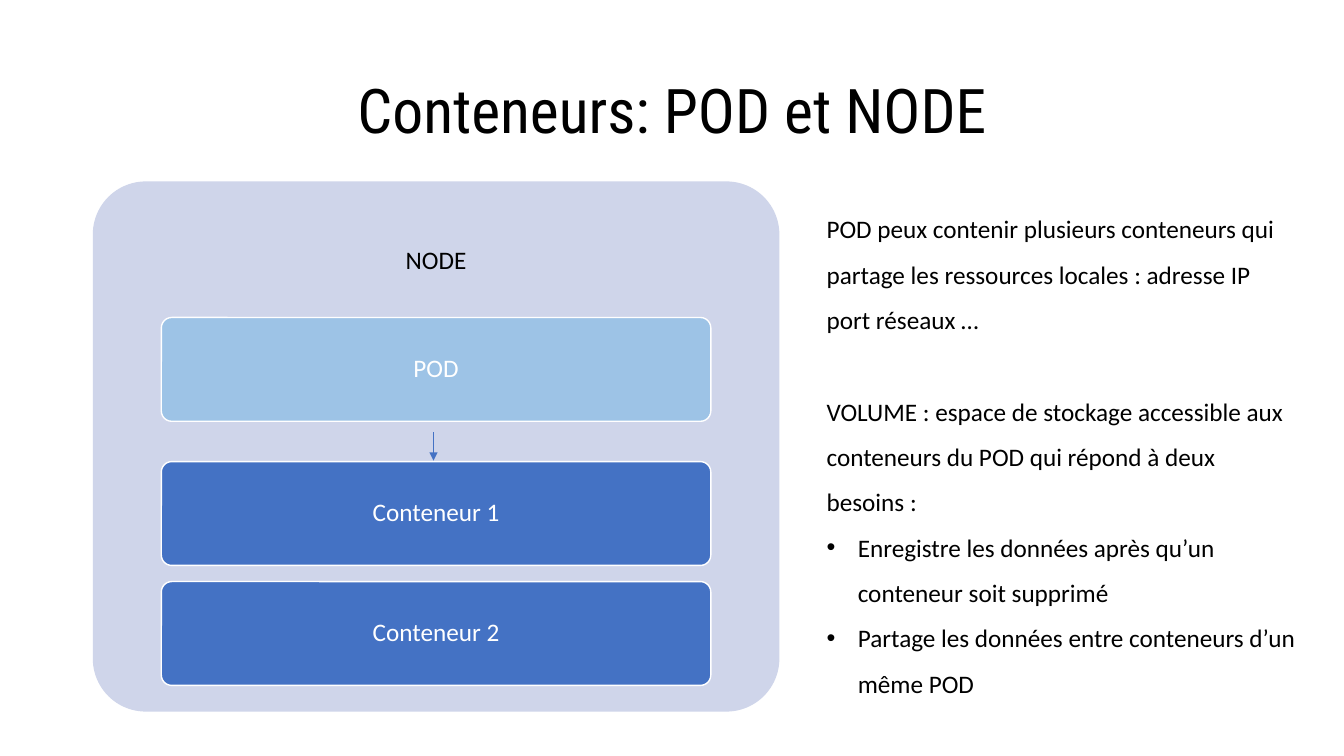
"""Build the slide that shows a node, its pod and the pod's containers."""
import pptx
import pptx.dml.color
import pptx.enum.shapes
import pptx.enum.text
import pptx.oxml.ns
import pptx.util
from dataclasses import dataclass
from lxml import etree

Inches, Pt = pptx.util.Inches, pptx.util.Pt
MSO_SHAPE = pptx.enum.shapes.MSO_SHAPE
MSO_ANCHOR = pptx.enum.text.MSO_ANCHOR
PP_ALIGN = pptx.enum.text.PP_ALIGN
qn = pptx.oxml.ns.qn


@dataclass(frozen=True)
class Theme:
    """Colours, fonts and type sizes of the slide."""
    text: str = "000000"
    light: str = "FFFFFF"
    node: str = "CFD5EA"
    pod: str = "9DC3E6"
    container: str = "4472C4"
    title_font: str = "Roboto Condensed"
    body_font: str = "Calibri"
    title_size: int = 44
    body_size: int = 18


THEME = Theme()
TITLE = "Conteneurs: POD et NODE"
NODE = "NODE"
BOXES = [
    ("POD", THEME.pod, 3.15),
    ("Conteneur 1", THEME.container, 4.58),
    ("Conteneur 2", THEME.container, 5.77),
]
NOTES = [
    ("POD peux contenir plusieurs conteneurs qui partage les ressources locales : "
     "adresse IP port réseaux …", False, 0),
    ("VOLUME : espace de stockage accessible aux conteneurs du POD qui répond à "
     "deux besoins :", False, 33),
    ("Enregistre les données après qu’un conteneur soit supprimé", True, 0),
    ("Partage les données entre conteneurs d’un même POD", True, 0),
]
NODE_LEFT, NODE_TOP, NODE_WIDTH, NODE_HEIGHT = 0.92, 1.8, 6.81, 5.26
LABEL_HEIGHT = 1.58
BOX_WIDTH, BOX_HEIGHT = 5.45, 1.03
BOX_LEFT = NODE_LEFT + (NODE_WIDTH - BOX_WIDTH) / 2
ARROW_X, ARROW_TOP, ARROW_BOTTOM = 4.3, 4.29, 4.57
INDENT = 0.31


def rgb(color):
    """Turn a hex string into a colour."""
    return pptx.dml.color.RGBColor.from_string(color)


def style(p, color, spacing, size=THEME.body_size, font=THEME.body_font):
    """Set the font and line spacing of a paragraph."""
    p.font.name, p.font.size = font, Pt(size)
    p.font.color.rgb = rgb(color)
    p.line_spacing = spacing


def label(sp, text, color, **font):
    """Write one centred line in a shape."""
    tf = sp.text_frame
    tf.word_wrap = True
    tf.vertical_anchor = MSO_ANCHOR.MIDDLE
    tf.text = text
    p = tf.paragraphs[0]
    p.alignment = PP_ALIGN.CENTER
    style(p, color, 0.9, **font)


def rounded(s, left, top, width, height, fill, line=None):
    """Add a rounded rectangle."""
    sp = s.shapes.add_shape(MSO_SHAPE.ROUNDED_RECTANGLE, Inches(left), Inches(top),
                            Inches(width), Inches(height))
    sp.adjustments[0] = 0.1
    sp.shadow.inherit = False
    sp.fill.solid()
    sp.fill.fore_color.rgb = rgb(fill)
    if line:
        sp.line.color.rgb = rgb(line)
        sp.line.width = Pt(1)
    else:
        sp.line.fill.background()
    return sp


def add_title(s):
    """Place and fill the title."""
    sp = s.shapes.title
    sp.left, sp.top = Inches(0.92), Inches(0.4)
    sp.width, sp.height = Inches(11.5), Inches(1.45)
    label(sp, TITLE, THEME.text, size=THEME.title_size, font=THEME.title_font)


def add_node(s):
    """Draw the node with its pod and containers."""
    rounded(s, NODE_LEFT, NODE_TOP, NODE_WIDTH, NODE_HEIGHT, THEME.node)
    sp = s.shapes.add_textbox(Inches(NODE_LEFT), Inches(NODE_TOP),
                              Inches(NODE_WIDTH), Inches(LABEL_HEIGHT))
    label(sp, NODE, THEME.text)
    for text, fill, top in BOXES:
        sp = rounded(s, BOX_LEFT, top, BOX_WIDTH, BOX_HEIGHT, fill, THEME.light)
        label(sp, text, THEME.light)


def add_arrow(s):
    """Draw the arrow from the pod to its containers."""
    arrow = s.shapes.add_connector(
        pptx.enum.shapes.MSO_CONNECTOR.STRAIGHT,
        Inches(ARROW_X), Inches(ARROW_TOP), Inches(ARROW_X), Inches(ARROW_BOTTOM))
    arrow.line.color.rgb = rgb(THEME.container)
    arrow.line.width = Pt(0.5)
    etree.SubElement(arrow.line._get_or_add_ln(), qn("a:tailEnd"), type="triangle")
    etree.SubElement(arrow._element.spPr, qn("a:effectLst"))


def add_notes(s):
    """Write the explanations on the right."""
    tf = s.shapes.add_textbox(Inches(8.1), Inches(1.92), Inches(4.86), Inches(5.05)).text_frame
    tf.word_wrap = True
    for i, (text, bullet, gap) in enumerate(NOTES):
        p = tf.add_paragraph() if i else tf.paragraphs[0]
        p.text = text
        style(p, THEME.text, 1.5)
        p.space_before = Pt(gap)
        if bullet:
            pPr = p._p.get_or_add_pPr()
            pPr.set("marL", str(Inches(INDENT)))
            pPr.set("indent", str(-Inches(INDENT)))
            bu_font = etree.Element(qn("a:buFont"), typeface="Arial")
            bu_char = etree.Element(qn("a:buChar"), char="•")
            def_rpr = pPr.find(qn("a:defRPr"))
            def_rpr.addprevious(bu_font)
            def_rpr.addprevious(bu_char)


def main():
    """Build and save the presentation."""
    prs = pptx.Presentation()
    prs.slide_width, prs.slide_height = Inches(13.33), Inches(7.5)
    s = prs.slides.add_slide(prs.slide_layouts[5])
    add_title(s)
    add_node(s)
    add_arrow(s)
    add_notes(s)
    prs.save("out.pptx")


if __name__ == "__main__":
    main()
